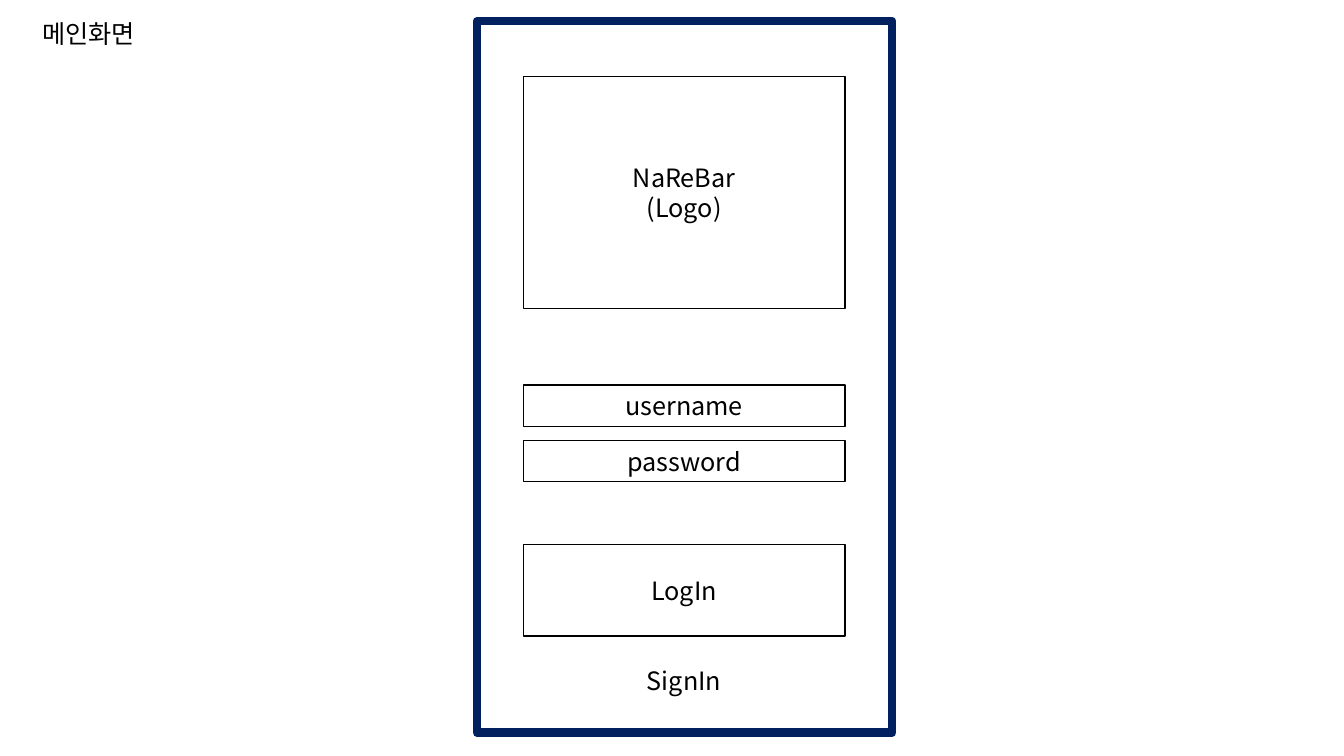
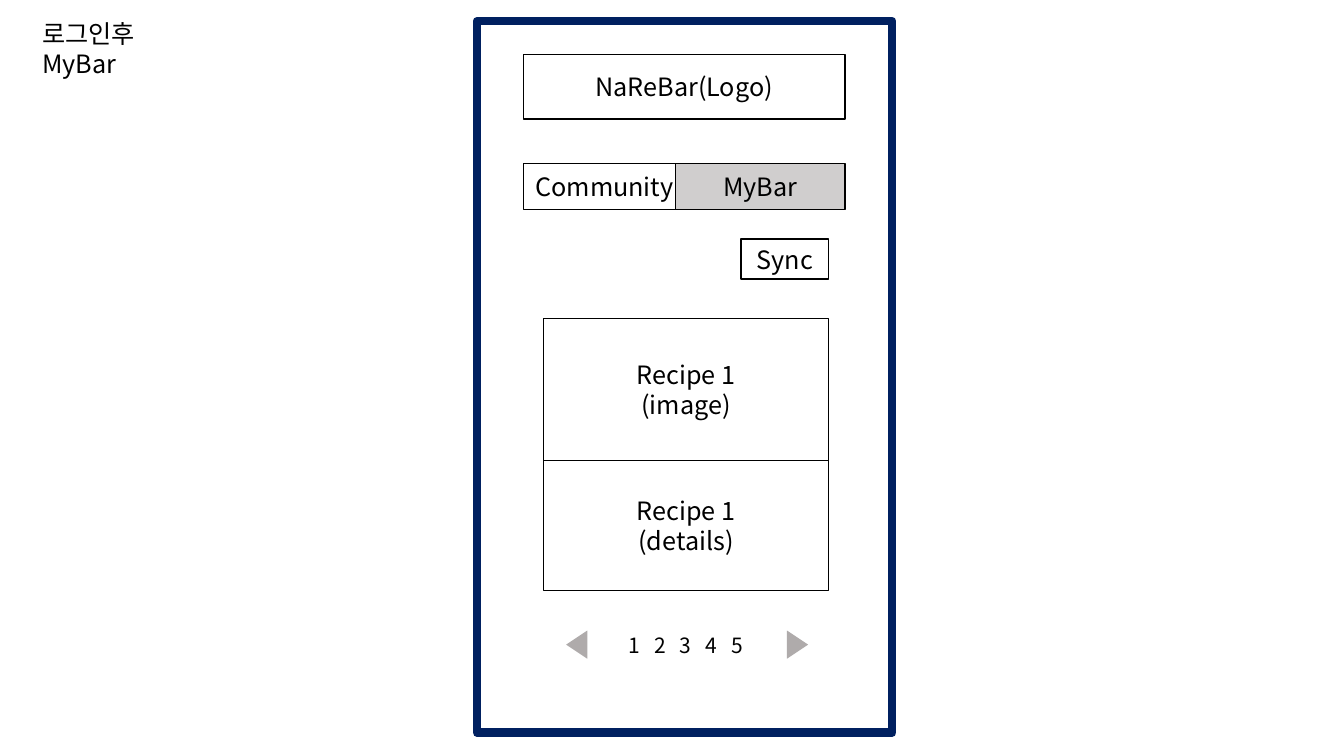
"""Build two wireframe slides of a phone app: the login screen and the page after login."""
from lxml.etree import SubElement
from pptx import Presentation
from pptx.dml.color import RGBColor
from pptx.enum.shapes import MSO_SHAPE
from pptx.enum.text import MSO_ANCHOR, MSO_AUTO_SIZE, PP_ALIGN
from pptx.oxml.ns import qn
from pptx.util import Inches, Pt

FONT = "Noto Sans CJK KR"
BLACK, WHITE, NAVY = "000000", "FFFFFF", "002060"
SELECTED, ARROW = "D0CECE", "AFABAB"

PHONE = (4.73, 0.21, 4.12, 7.06)
LEFT, WIDTH = 5.19, 3.19
CARD_LEFT, CARD_WIDTH = 5.39, 2.83
SYNC_WIDTH = 0.87
FIELD_TOP, FIELD_HEIGHT, FIELD_PITCH = 3.82, 0.41, 0.55

LOGIN_FIELDS = ["username", "password"]
LOGIN_BOXES = [
    (["NaReBar", "(Logo)"], (LEFT, 0.76, WIDTH, 2.3), None),
    (["LogIn"], (LEFT, 5.4, WIDTH, 0.91), None),
] + [
    ([name], (LEFT, FIELD_TOP + index * FIELD_PITCH, WIDTH, FIELD_HEIGHT), None)
    for index, name in enumerate(LOGIN_FIELDS)
]
MY_BAR_BOXES = [
    (["NaReBar(Logo)"], (LEFT, 0.54, WIDTH, 0.64), None),
    (["Community"], (LEFT, 1.62, 1.61, 0.46), None),
    (["MyBar"], (6.7, 1.62, 1.68, 0.46), SELECTED),
    (["Sync"], (CARD_LEFT + CARD_WIDTH - SYNC_WIDTH, 2.37, SYNC_WIDTH, 0.4), None),
    (["Recipe 1", "(image)"], (CARD_LEFT, 3.16, CARD_WIDTH, 1.41), None),
    (["Recipe 1", "(details)"], (CARD_LEFT, 4.57, CARD_WIDTH, 1.29), None),
]
SIGN_IN = (["SignIn"], (LEFT, 6.54, WIDTH, 0.41), {})
PAGER = (["1 2 3 4 5"], (LEFT, 6.22, 3.22, 0.35), {"size": 15, "spacing": 335})
PAGER_ARROWS = [((5.58, 6.29, 0.28, 0.21), 270), ((7.77, 6.29, 0.28, 0.21), 90)]

SCREENS = [
    (["메인화면"], 0.4, LOGIN_BOXES, SIGN_IN, []),
    (["로그인후", "MyBar"], 0.71, MY_BAR_BOXES, PAGER, PAGER_ARROWS),
]


def color(value):
    return RGBColor.from_string(value)


def write(shape, lines, size=18, align=PP_ALIGN.CENTER, anchor=MSO_ANCHOR.MIDDLE, spacing=None):
    frame = shape.text_frame
    frame.word_wrap = True
    frame.auto_size = MSO_AUTO_SIZE.NONE
    frame.vertical_anchor = anchor
    for index, line in enumerate(lines):
        para = frame.add_paragraph() if index else frame.paragraphs[0]
        para.alignment = align
        span = para.add_run()
        span.text = line
        span.font.size = Pt(size)
        span.font.name = FONT
        span.font.color.rgb = color(BLACK)
        properties = span.font._element
        SubElement(properties, qn("a:ea")).set("typeface", FONT)
        if spacing:
            properties.set("spc", str(spacing))


def add_box(page, place, kind=MSO_SHAPE.RECTANGLE, fill=None, line=None, weight=1):
    box = page.shapes.add_shape(kind, *map(Inches, place))
    box.shadow.inherit = False
    if fill:
        box.fill.solid()
        box.fill.fore_color.rgb = color(fill)
    else:
        box.fill.background()
    if line:
        box.line.color.rgb = color(line)
        box.line.width = Pt(weight)
    else:
        box.line.fill.background()
    return box


def add_screen(deck, title, title_height, boxes, footer, arrows):
    page = deck.slides.add_slide(deck.slide_layouts[5])
    heading = page.shapes.title
    heading.left, heading.top = Inches(0.32), Inches(0.13)
    heading.width, heading.height = Inches(1.55), Inches(title_height)
    write(heading, title, align=PP_ALIGN.LEFT, anchor=MSO_ANCHOR.TOP)
    add_box(page, PHONE, fill=WHITE, line=NAVY, weight=6)
    for lines, place, fill in boxes:
        write(add_box(page, place, fill=fill, line=BLACK), lines)
    lines, place, style = footer
    write(page.shapes.add_textbox(*map(Inches, place)), lines, **style)
    for place, angle in arrows:
        add_box(page, place, MSO_SHAPE.ISOSCELES_TRIANGLE, fill=ARROW).rotation = angle


deck = Presentation()
deck.slide_width, deck.slide_height = Inches(13.33), Inches(7.5)
for screen in SCREENS:
    add_screen(deck, *screen)
deck.save("out.pptx")
